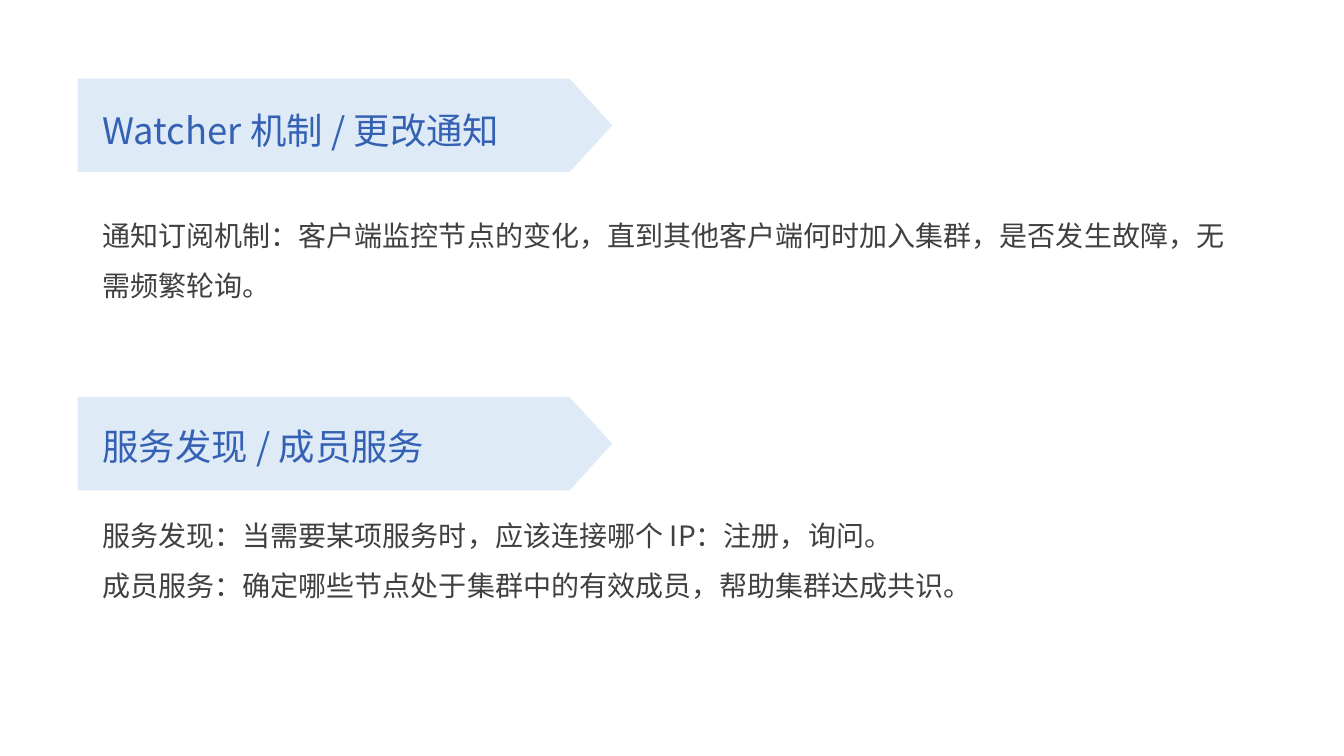
from dataclasses import dataclass

from lxml.etree import SubElement
from pptx import Presentation
from pptx.dml.color import RGBColor
from pptx.enum.shapes import MSO_SHAPE
from pptx.enum.text import MSO_ANCHOR, MSO_AUTO_SIZE, PP_ALIGN
from pptx.oxml.ns import qn
from pptx.util import Pt

PX = 9525  # EMU in one px, 96 px to the inch


@dataclass(frozen=True)
class Theme:
    font: str = "Noto Sans CJK SC"
    plate: str = "DEEBF7"
    head: str = "3561B4"
    body: str = "404040"
    head_size: int = 26
    body_size: int = 20


class Deck:
    def __init__(self, theme):
        self.theme = theme
        self.show = Presentation()
        self.show.slide_width = 1280 * PX
        self.show.slide_height = 720 * PX
        self.slide = self.show.slides.add_slide(self.show.slide_layouts[3])

    def plate(self, *box):
        """Draw a heading's arrow plate behind all text."""
        shapes = self.slide.shapes
        plate = shapes.add_shape(MSO_SHAPE.PENTAGON, *(n * PX for n in box))
        plate.adjustments[0] = 0.455
        plate.shadow.inherit = False
        plate.fill.solid()
        plate.fill.fore_color.rgb = RGBColor.from_string(self.theme.plate)
        plate.line.fill.background()
        shapes.element.insert(2, plate.element)

    def place(self, shape, box, lines, size, color, gaps):
        """Place a text shape and fill it; gaps holds each line's spacing."""
        shape.left, shape.top, shape.width, shape.height = (n * PX for n in box)
        frame = shape.text_frame
        frame.text = "\n".join(lines)
        frame.word_wrap = True
        frame.auto_size = MSO_AUTO_SIZE.NONE
        frame.vertical_anchor = MSO_ANCHOR.TOP
        for para, gap in zip(frame.paragraphs, gaps):
            para.alignment = PP_ALIGN.LEFT
            para.line_spacing = gap
            para.space_before = Pt(0)
            props = para._p.get_or_add_pPr()
            props.set("marL", "0")
            props.set("indent", "0")
            SubElement(props, qn("a:buNone"))
            for run in para.runs:
                run.font.size = Pt(size)
                run.font.name = self.theme.font
                run.font.color.rgb = RGBColor.from_string(color)
                SubElement(run._r.get_or_add_rPr(), qn("a:ea"), typeface=self.theme.font)

    def head(self, shape, box, text):
        self.place(shape, box, [text], self.theme.head_size, self.theme.head, [1.0])

    def body(self, shape, box, lines, gaps):
        self.place(shape, box, lines, self.theme.body_size, self.theme.body, gaps)

    def label(self):
        """Add an empty text box, to be placed by head or body."""
        return self.slide.shapes.add_textbox(0, 0, PX, PX)


def main():
    deck = Deck(Theme())
    title, watch, serve, *rest = deck.slide.placeholders
    for top in (75, 378):
        deck.plate(74, top, 509, 89)

    deck.head(title, (88, 98, 516, 52), "Watcher 机制 / 更改通知")
    deck.body(watch, (88, 187, 1111, 101), [
        "通知订阅机制：客户端监控节点的变化，直到其他客户端何时加入集群，"
        "是否发生故障，无需频繁轮询。",
    ], [1.5])
    deck.head(deck.label(), (88, 399, 349, 52), "服务发现 / 成员服务")
    deck.body(serve, (88, 489, 1111, 90), [
        "服务发现：当需要某项服务时，应该连接哪个 IP：注册，询问。",
        "成员服务：确定哪些节点处于集群中的有效成员，帮助集群达成共识。",
    ], [1.0, 1.5])
    for spare in rest:
        spare.element.getparent().remove(spare.element)
    deck.show.save("out.pptx")


if __name__ == "__main__":
    main()
